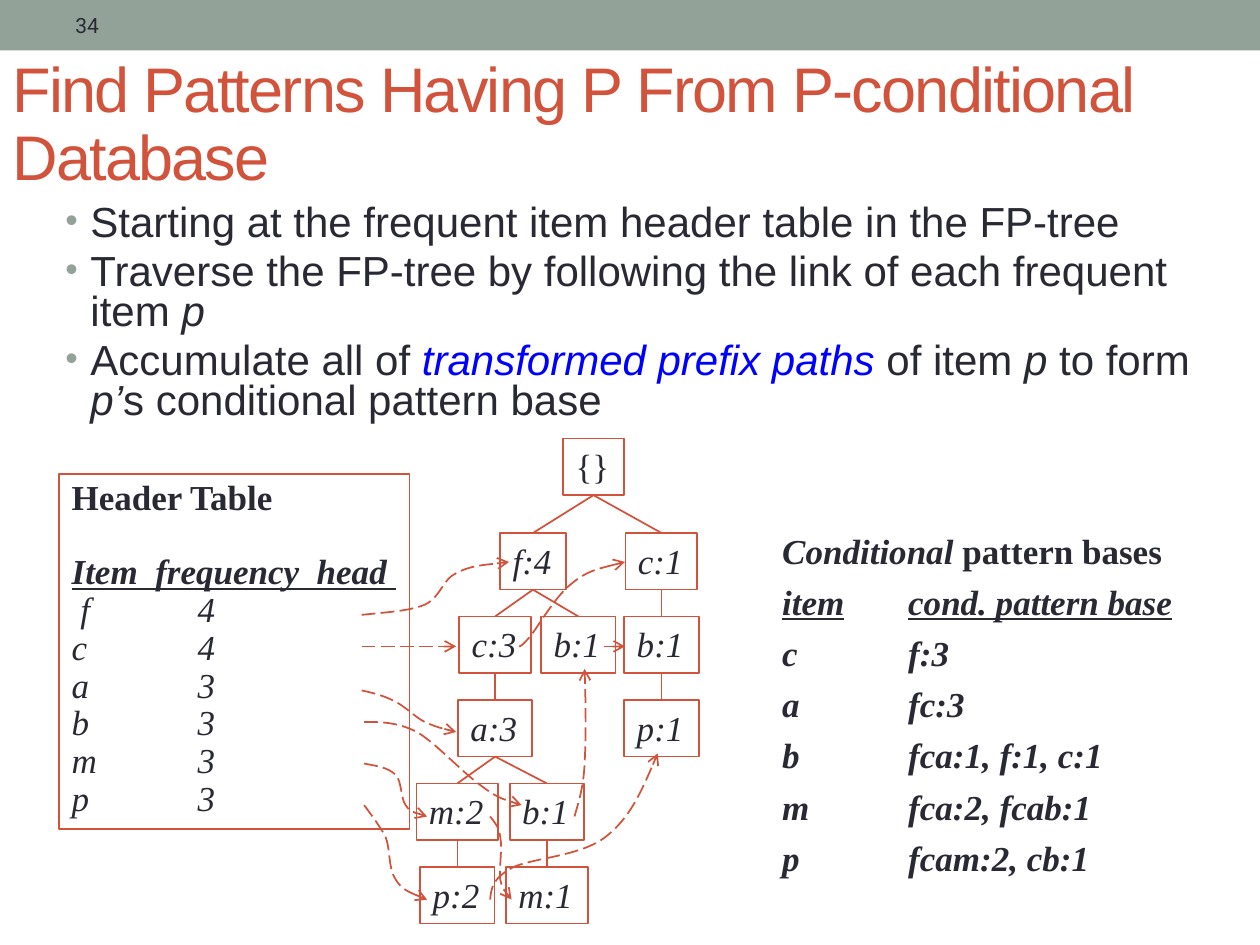
import pptx
import pptx.dml.color
import pptx.enum.dml
import pptx.enum.shapes
import pptx.enum.text
import pptx.oxml
import pptx.oxml.ns
import pptx.util
from lxml import etree

Inches, Pt = pptx.util.Inches, pptx.util.Pt
qn = pptx.oxml.ns.qn

RED, INK, SAGE, BLUE = "D2533C", "292934", "93A299", "0000FF"
SANS, SERIF = "Arial", "Times New Roman"
ITALIC = {"italic": True}
BOLD = {"bold": True}
BOLD_ITALIC = {"bold": True, "italic": True}
HEADING = {"bold": True, "italic": True, "underline": True}

# Content: each paragraph is a list of (text, format) spans
TITLE = "Find Patterns Having P From P-conditional Database"
BULLETS = [
    [("Starting at the frequent item header table in the FP-tree", {})],
    [("Traverse the FP-tree by following the link of each frequent item ", {}),
     ("p", ITALIC)],
    [("Accumulate all of ", {}),
     ("transformed prefix paths", {"italic": True, "color": BLUE}),
     (" of item ", {}), ("p ", ITALIC), ("to form ", {}), ("p’", ITALIC),
     ("s conditional pattern base", {})],
]
FREQUENCIES = [(" f", 4), ("c", 4), ("a", 3), ("b", 3), ("m", 3), ("p", 3)]
PATTERN_BASES = [("c", "f:3"), ("a", "fc:3"), ("b", "fca:1, f:1, c:1"),
                 ("m", "fca:2, fcab:1"), ("p", "fcam:2, cb:1")]

# FP-tree: name -> (label, centre x, level); width depends on the item
NODES = {
    "root": ("{}", 4.71, 0),
    "f": ("f:4", 4.23, 1), "c right": ("c:1", 5.25, 1),
    "c": ("c:3", 3.93, 2), "b middle": ("b:1", 4.59, 2), "b right": ("b:1", 5.25, 2),
    "a": ("a:3", 3.93, 3), "p right": ("p:1", 5.25, 3),
    "m": ("m:2", 3.63, 4), "b": ("b:1", 4.34, 4),
    "p": ("p:2", 3.63, 5), "m low": ("m:1", 4.34, 5),
}
EDGES = [("root", "f"), ("root", "c right"), ("f", "c"), ("f", "b middle"),
         ("c right", "b right"), ("b right", "p right"), ("c", "a"),
         ("a", "m"), ("a", "b"), ("m", "p"), ("b", "m low")]
NODE_WIDTH = {"{": 0.48, "f": 0.52, "c": 0.57, "a": 0.59, "b": 0.59, "p": 0.59, "m": 0.65}
NODE_HEIGHT = 0.45
LEVEL_TOPS = [3.48] + [4.23 + 0.6625 * step for step in range(5)]

# Dashed node links: start point, then three Bezier points per segment
CURVED_LINKS = [
    [(2.87, 4.88), (3.06, 4.86), (3.25, 4.85), (3.37, 4.8), (3.5, 4.74), (3.51, 4.6),
     (3.62, 4.55), (3.73, 4.49), (3.89, 4.48), (4.04, 4.46)],
    [(4.12, 5.13), (4.13, 5.13), (4.14, 5.13), (4.21, 5.05), (4.28, 4.96), (4.41, 4.73),
     (4.54, 4.63), (4.66, 4.53), (4.81, 4.5), (4.96, 4.46)],
    [(2.87, 5.48), (2.96, 5.5), (3.04, 5.52), (3.12, 5.56), (3.21, 5.6), (3.29, 5.69),
     (3.37, 5.73), (3.46, 5.77), (3.54, 5.79), (3.62, 5.81)],
    [(2.89, 5.73), (3.02, 5.73), (3.15, 5.73), (3.31, 5.81), (3.46, 5.9), (3.67, 6.13),
     (3.81, 6.23), (3.94, 6.33), (4.04, 6.36), (4.14, 6.39)],
    [(4.56, 6.48), (4.59, 6.37), (4.63, 6.26), (4.64, 6.06), (4.65, 5.87), (4.65, 5.59),
     (4.64, 5.31)],
    [(2.89, 6.06), (2.99, 6.08), (3.08, 6.09), (3.14, 6.15), (3.19, 6.2), (3.18, 6.34),
     (3.22, 6.39), (3.26, 6.45), (3.33, 6.46), (3.39, 6.48)],
    [(3.89, 6.48), (3.92, 6.52), (3.96, 6.56), (3.97, 6.64), (3.99, 6.73), (3.96, 6.89),
     (3.97, 6.98), (3.99, 7.06), (4.02, 7.1), (4.06, 7.14)],
    [(2.89, 6.39), (2.95, 6.47), (3.01, 6.55), (3.06, 6.64), (3.1, 6.74), (3.08, 6.89),
     (3.14, 6.98), (3.19, 7.06), (3.29, 7.1), (3.39, 7.14)],
    [(3.89, 7.14), (3.9, 7.06), (3.9, 6.98), (4.06, 6.89), (4.21, 6.81), (4.61, 6.8),
     (4.81, 6.64), (5, 6.49), (5.11, 6.24), (5.22, 5.98)],
]
STRAIGHT_LINKS = [((2.87, 5.13), (3.62, 5.13)), ((4.79, 5.13), (4.96, 5.13))]


def rgb(color):
    return pptx.dml.color.RGBColor.from_string(color)


def add_child(parent, tag, **attributes):
    return etree.SubElement(parent, qn(tag), attributes)


def write(box, paragraphs, size=20, font=SERIF, color=INK, line=1.0, before=0,
          wrap=True, middle=False, tracking=None, bullet=None, tab=None):
    """Fill a box with paragraphs of (text, format) spans."""
    frame = box.text_frame
    frame.word_wrap = wrap
    anchors = pptx.enum.text.MSO_ANCHOR
    frame.vertical_anchor = anchors.MIDDLE if middle else anchors.TOP
    for index, spans in enumerate(paragraphs):
        para = frame.paragraphs[0] if index == 0 else frame.add_paragraph()
        para.alignment = pptx.enum.text.PP_ALIGN.LEFT
        para.line_spacing = line
        para.space_before = Pt(before)
        properties = para._p.get_or_add_pPr()
        if bullet:
            properties.set("marL", str(Inches(0.2)))
            properties.set("indent", str(Inches(-0.2)))
            add_child(add_child(properties, "a:buClr"), "a:srgbClr", val=bullet)
            add_child(properties, "a:buSzPct", val="85000")
            add_child(properties, "a:buFont", typeface=SANS)
            add_child(properties, "a:buChar", char="•")
        if tab:
            stops = add_child(properties, "a:tabLst")
            add_child(stops, "a:tab", pos=str(Inches(tab)), algn="l")
        for text, style in spans:
            span = para.add_run()
            span.text = text
            span.font.size, span.font.name = Pt(size), font
            span.font.color.rgb = rgb(style.get("color", color))
            span.font.bold = style.get("bold", False)
            span.font.italic = style.get("italic", False)
            span.font.underline = style.get("underline", False)
            if tracking:
                span._r.get_or_add_rPr().set("spc", str(tracking))


def add_text(page, area, paragraphs, **style):
    box = page.shapes.add_textbox(*map(Inches, area))
    write(box, paragraphs, **style)


def add_box(page, area, fill=None, outline=None):
    box = page.shapes.add_shape(pptx.enum.shapes.MSO_SHAPE.RECTANGLE, *map(Inches, area))
    box.shadow.inherit = False
    if fill:
        box.fill.solid()
        box.fill.fore_color.rgb = rgb(fill)
    else:
        box.fill.background()
    if outline:
        box.line.color.rgb = rgb(outline)
        box.line.width = Pt(1)
    else:
        box.line.fill.background()
    return box


def style_line(shape, link=False):
    shape.line.color.rgb = rgb(RED)
    shape.line.width = Pt(1)
    if link:
        shape.line.dash_style = pptx.enum.dml.MSO_LINE.LONG_DASH
        add_child(shape.line._get_or_add_ln(), "a:tailEnd", type="arrow")


def add_line(page, start, end, link=False):
    line = page.shapes.add_connector(pptx.enum.shapes.MSO_CONNECTOR.STRAIGHT,
                                     *map(Inches, (*start, *end)))
    style_line(line, link)
    add_child(line._element.spPr, "a:effectLst")


def add_curve(page, points):
    corners = [(Inches(x), Inches(y)) for x, y in points]
    builder = page.shapes.build_freeform(*corners[0])
    builder.add_line_segments(corners[1:], close=False)
    curve = builder.convert_to_shape()
    curve.shadow.inherit = False
    curve.fill.background()
    style_line(curve, link=True)
    # Turn every three straight segments into one Bezier segment
    segments = list(curve._element.iter(qn("a:lnTo")))
    for first in range(0, len(segments), 3):
        bezier = add_child(segments[first].getparent(), "a:cubicBezTo")
        for segment in segments[first:first + 3]:
            bezier.append(segment[0])
            segment.getparent().remove(segment)


def main():
    deck = pptx.Presentation()
    deck.slide_width, deck.slide_height = Inches(10), Inches(7.5)
    page = deck.slides.add_slide(deck.slide_layouts[6])

    # Top band, slide number, title and bullets
    add_box(page, (0, 0, 10, 0.4), fill=SAGE)
    add_text(page, (0.5, 0.02, 3.17, 0.36), [[("34", {})]], size=12, font="Roboto", middle=True)
    add_text(page, (0, 0.25, 9.75, 1.5), [[(TITLE, {})]], size=36, font=SANS,
             color=RED, line=0.9, middle=True, tracking=-100)
    add_text(page, (0.42, 1.58, 9.17, 1.67), BULLETS, size=24, font=SANS,
             line=0.8, before=4.8, bullet=SAGE)

    # Conditional pattern bases
    bases = page.shapes.add_textbox(*map(Inches, (6.11, 4.15, 3.64, 3.04)))
    rows = [[("Conditional ", BOLD_ITALIC), ("pattern bases", BOLD)],
            [("item\tcond. pattern base", HEADING)]]
    rows += [[(f"{item}\t{base}", BOLD_ITALIC)] for item, base in PATTERN_BASES]
    write(bases, rows, line=0.8, before=10, tab=1)
    bases.text_frame.paragraphs[0].line_spacing = 1.0

    # Tree nodes and edges
    for label, center, level in NODES.values():
        width = NODE_WIDTH[label[0]]
        node = add_box(page, (center - width / 2, LEVEL_TOPS[level], width, NODE_HEIGHT),
                       outline=RED)
        write(node, [[(label, ITALIC if level else {})]], wrap=False)
    for parent, child in EDGES:
        _, parent_x, parent_level = NODES[parent]
        _, child_x, child_level = NODES[child]
        add_line(page, (parent_x, LEVEL_TOPS[parent_level] + NODE_HEIGHT),
                 (child_x, LEVEL_TOPS[child_level]))

    # Header table, with a one-line gap above its column names
    header = add_box(page, (0.47, 3.76, 2.78, 2.82), outline=RED)
    rows = [[("Header Table", BOLD)], [("Item  frequency  head ", HEADING)]]
    rows += [[(f"{item}\t{count}", ITALIC)] for item, count in FREQUENCIES]
    write(header, rows, line=0.9, wrap=False, tab=1)
    header.text_frame.paragraphs[1].space_before = Pt(21)

    # Node links
    for points in CURVED_LINKS:
        add_curve(page, points)
    for start, end in STRAIGHT_LINKS:
        add_line(page, start, end, link=True)

    deck.save("out.pptx")


if __name__ == "__main__":
    main()
